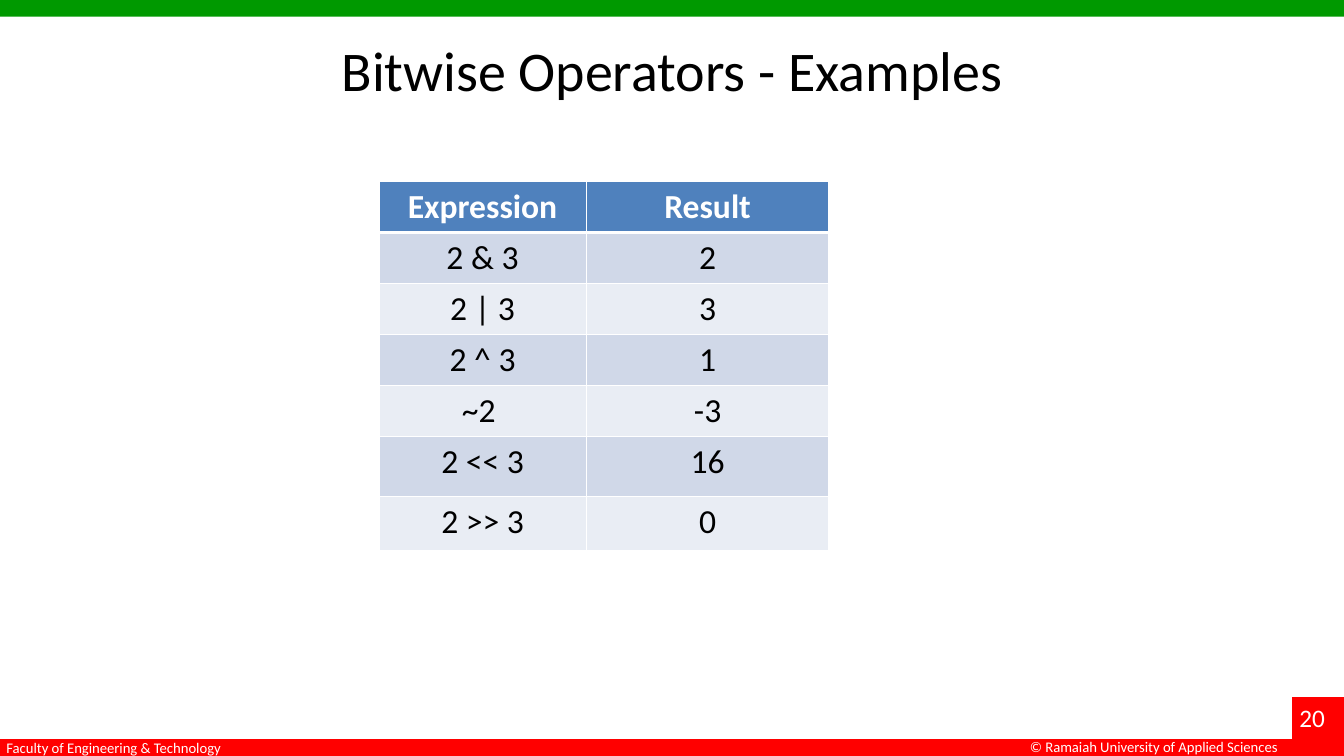
from dataclasses import dataclass

from lxml import etree
from pptx import Presentation
from pptx import util as u
from pptx.dml.color import RGBColor
from pptx.enum import shapes, text
from pptx.oxml import ns

WHITE = RGBColor(0xFF, 0xFF, 0xFF)
BLACK = RGBColor(0, 0, 0)
GREEN = RGBColor(0, 0x99, 0)
RED = RGBColor(0xFF, 0, 0)
HEADER_BLUE = RGBColor(0x4F, 0x81, 0xBD)
BANDS = (RGBColor(0xD0, 0xD8, 0xE8), RGBColor(0xE9, 0xED, 0xF4))

FONT = "Calibri"
SLIDE_WIDTH, SLIDE_HEIGHT = 960, 540
BAR_HEIGHT = 12

TABLE_LEFT, TABLE_TOP = 270.7, 129.6
COLUMN_WIDTHS = (148, 173.5)
ROW_HEIGHTS = (36.5, 36.5, 36.5, 36.5, 36.5, 42.8, 38.6)
ROWS = (
    ("Expression", "Result"),
    ("2 & 3", "2"),
    ("2 | 3", "3"),
    ("2 ^ 3", "1"),
    ("~2 ", "-3"),
    ("2 << 3", "16"),
    ("2 >> 3", "0"),
)


@dataclass
class Block:
    left: float
    top: float
    width: float
    height: float
    color: RGBColor


@dataclass
class Label:
    content: str
    left: float
    top: float
    width: float
    height: float
    size: float
    color: RGBColor = WHITE
    centered: bool = False


BLOCKS = (
    Block(0, 0, SLIDE_WIDTH, BAR_HEIGHT, GREEN),
    Block(0, SLIDE_HEIGHT - BAR_HEIGHT, SLIDE_WIDTH, BAR_HEIGHT, RED),
    Block(923, 498, 37, 42, RED),
)
LABELS = (
    Label("20", 921, 498, 36, 29, 18),
    Label("Faculty of Engineering & Technology", -2.5, 524.3, 171.4, 20, 10.5),
    Label("© Ramaiah University of Applied Sciences", 728.6, 523.5, 194.4, 20, 10.5),
    Label("Bitwise Operators - Examples", 48, 21.6, 864, 90, 40, BLACK, True),
)


def write(paragraph, content: str, size: float, color: RGBColor,
          centered: bool, bold: bool = False) -> None:
    """Add one formatted run to the paragraph."""
    paragraph.alignment = text.PP_ALIGN.CENTER if centered else text.PP_ALIGN.LEFT
    run = paragraph.add_run()
    run.text = content
    run.font.name = FONT
    run.font.size = u.Pt(size)
    run.font.bold = bold
    run.font.color.rgb = color


def add_block(slide, block: Block) -> None:
    shape = slide.shapes.add_shape(
        shapes.MSO_SHAPE.RECTANGLE, u.Pt(block.left), u.Pt(block.top),
        u.Pt(block.width), u.Pt(block.height))
    shape.shadow.inherit = False
    shape.fill.solid()
    shape.fill.fore_color.rgb = block.color
    shape.line.fill.background()


def add_label(slide, label: Label) -> None:
    shape = slide.shapes.add_textbox(
        u.Pt(label.left), u.Pt(label.top), u.Pt(label.width), u.Pt(label.height))
    shape.text_frame.word_wrap = label.centered
    write(shape.text_frame.paragraphs[0], label.content, label.size,
          label.color, label.centered)


def set_border(cell, side: str, width: float) -> None:
    properties = cell._tc.get_or_add_tcPr()
    line = etree.SubElement(properties, ns.qn(f"a:ln{side}"), w=str(u.Pt(width)))
    fill = etree.SubElement(line, ns.qn("a:solidFill"))
    etree.SubElement(fill, ns.qn("a:srgbClr"), val=str(WHITE))


def add_operator_table(slide) -> None:
    table = slide.shapes.add_table(
        len(ROWS), len(COLUMN_WIDTHS), u.Pt(TABLE_LEFT), u.Pt(TABLE_TOP),
        u.Pt(sum(COLUMN_WIDTHS)), u.Pt(sum(ROW_HEIGHTS))).table
    for column, width in zip(table.columns, COLUMN_WIDTHS):
        column.width = u.Pt(width)
    for index, (row, height, contents) in enumerate(zip(table.rows, ROW_HEIGHTS, ROWS)):
        row.height = u.Pt(height)
        header = index == 0
        borders = {"L": 1, "R": 1, "T": 3 if index == 1 else 1, "B": 3 if header else 1}
        for cell, content in zip(row.cells, contents):
            for side, width in borders.items():
                set_border(cell, side, width)
            cell.fill.solid()
            cell.fill.fore_color.rgb = HEADER_BLUE if header else BANDS[(index - 1) % 2]
            write(cell.text_frame.paragraphs[0], content, 24,
                  WHITE if header else BLACK, True, header)


def main() -> None:
    presentation = Presentation()
    presentation.slide_width = u.Pt(SLIDE_WIDTH)
    presentation.slide_height = u.Pt(SLIDE_HEIGHT)
    slide = presentation.slides.add_slide(presentation.slide_layouts[6])
    for block in BLOCKS:
        add_block(slide, block)
    for label in LABELS:
        add_label(slide, label)
    add_operator_table(slide)
    presentation.save("out.pptx")


if __name__ == "__main__":
    main()
